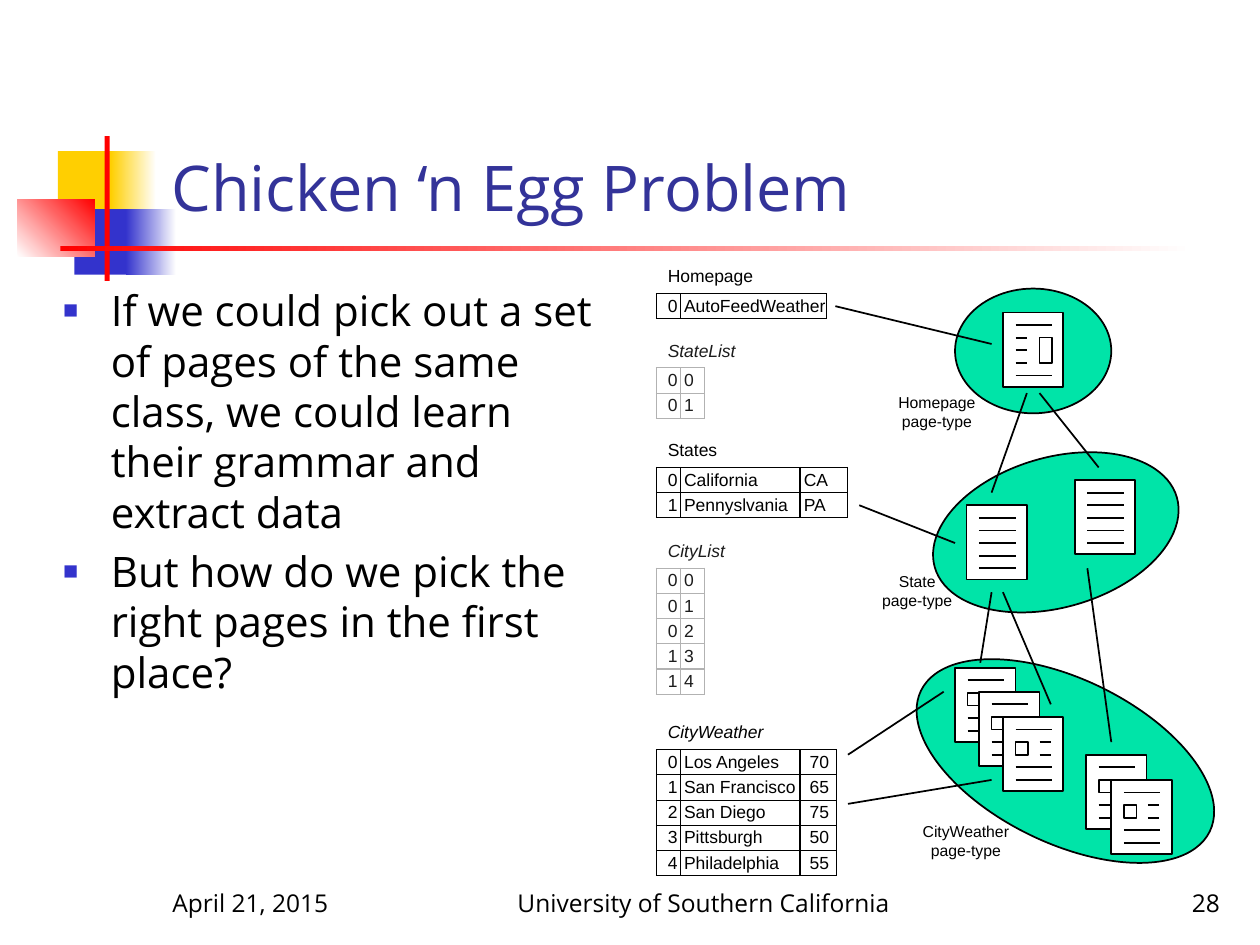
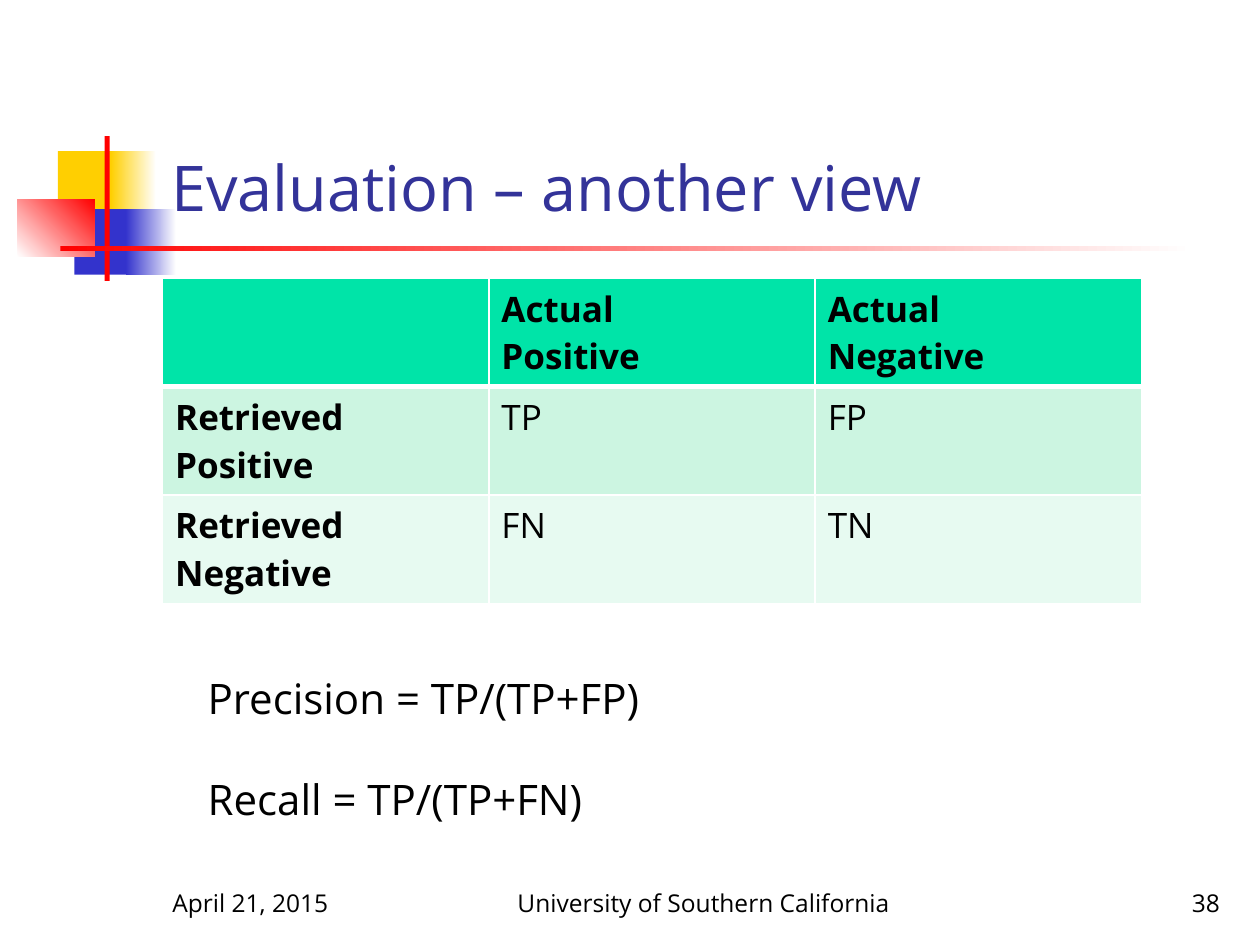
from dataclasses import dataclass

from lxml.etree import SubElement
from pptx import Presentation
from pptx.dml.color import RGBColor
from pptx.enum.shapes import MSO_CONNECTOR, MSO_SHAPE
from pptx.enum.text import MSO_ANCHOR, MSO_AUTO_SIZE, PP_ALIGN
from pptx.oxml.ns import qn
from pptx.util import Inches, Pt


@dataclass(frozen=True)
class Theme:
    """Colours, fonts and type sizes of the deck."""
    title: str = "333399"
    text: str = "000000"
    soft_text: str = "1C1C1C"
    white: str = "FFFFFF"
    yellow: str = "FFCF01"
    blue: str = "3333CC"
    red: str = "FF0000"
    green: str = "00E4A8"
    grey: str = "B2B2B2"
    row_tints: tuple = ("CCF5E1", "E7FAF1")
    font: str = "Open Sans"
    data_font: str = "Arial"
    title_size: float = 36
    body_size: float = 24
    table_size: float = 20
    footer_size: float = 14
    data_size: float = 10
    label_size: float = 9


T = Theme()


def rgb(color):
    """Turn a hex string into a colour."""
    return RGBColor.from_string(color)


def write(tf, text, size=T.body_size, font=T.font, color=T.text, bold=False,
          italic=False, align=PP_ALIGN.LEFT, before=0):
    """Fill a text frame, one paragraph a line; before is the gap between them."""
    for i, line in enumerate(text.split("\n")):
        p = tf.paragraphs[0] if i == 0 else tf.add_paragraph()
        p.alignment = align
        p.space_before = Pt(before if i else 0)
        r = p.add_run()
        r.text = line
        r.font.size, r.font.name = Pt(size), font
        r.font.bold, r.font.italic = bold, italic
        r.font.color.rgb = rgb(color)


def bullet(p, color, percent, indent):
    """Give a paragraph a square bullet with a hanging indent."""
    pPr = p._p.get_or_add_pPr()
    pPr.set("marL", str(Inches(indent)))
    pPr.set("indent", str(-Inches(indent)))
    SubElement(SubElement(pPr, qn("a:buClr")), qn("a:srgbClr"), val=color)
    SubElement(pPr, qn("a:buSzPct"), val=str(percent * 1000))
    SubElement(pPr, qn("a:buChar"), char="■")


def border(cell, color, width, bottom=None):
    """Draw the four borders of a cell; call before setting its fill."""
    tcPr = cell._tc.get_or_add_tcPr()
    for side in "LRTB":
        w = bottom if side == "B" and bottom else width
        ln = SubElement(tcPr, qn(f"a:ln{side}"), w=str(Pt(w)))
        SubElement(SubElement(ln, qn("a:solidFill")), qn("a:srgbClr"), val=color)


class Deck:
    """Holds the presentation and the slide being built."""

    def __init__(self):
        """Start an empty 10 by 7.5 inch deck."""
        self.prs = Presentation()
        self.prs.slide_width, self.prs.slide_height = Inches(10), Inches(7.5)
        self.s = None

    def slide(self, layout, title, number):
        """Add a slide with the shared decoration, title and footer."""
        self.s = self.prs.slides.add_slide(self.prs.slide_layouts[layout])
        self.decoration()
        sp = self.s.shapes.title
        self.place(sp, 1.26, 0.23, 8.52, 1.6, MSO_ANCHOR.BOTTOM)
        write(sp.text_frame, title, T.title_size, color=T.title)
        sp.element.getparent().append(sp.element)  # in front of the decoration
        for x, w, text, align in (
                (1.27, 2.08, "April 21, 2015", PP_ALIGN.LEFT),
                (4, 3.17, "University of Southern California", PP_ALIGN.CENTER),
                (7.7, 2.08, number, PP_ALIGN.RIGHT)):
            self.text(x, 6.83, w, 0.5, text, anchor=MSO_ANCHOR.BOTTOM,
                      size=T.footer_size, align=align)

    def decoration(self):
        """Draw the coloured squares and the red rules."""
        self.shape(0.46, 1.2, 0.48, 0.52, T.yellow)
        self.shape(0.88, 1.2, 0.36, 0.52, (T.yellow, T.white))
        self.shape(0.59, 1.66, 0.46, 0.52, T.blue)
        self.shape(1, 1.66, 0.4, 0.52, (T.blue, T.white))
        self.shape(0.14, 1.58, 0.61, 0.46, (T.white, T.red), angle=45)
        self.shape(0.83, 1.08, 0.04, 1.15, T.red)
        self.shape(0.48, 1.95, 9, 0.04, (T.red, T.white))

    def place(self, sp, x, y, w, h, anchor):
        """Move a placeholder and fix its anchor."""
        sp.left, sp.top, sp.width, sp.height = map(Inches, (x, y, w, h))
        tf = sp.text_frame
        tf.vertical_anchor, tf.auto_size = anchor, MSO_AUTO_SIZE.NONE

    def body(self, x, y, w, h, text):
        """Fill the body placeholder with a bulleted list."""
        sp = self.s.placeholders[1]
        self.place(sp, x, y, w, h, MSO_ANCHOR.TOP)
        write(sp.text_frame, text, before=5)
        for p in sp.text_frame.paragraphs:
            bullet(p, T.blue, 60, 0.38)

    def text(self, x, y, w, h, text, anchor=MSO_ANCHOR.TOP, wrap=True,
             inset=None, **style):
        """Add a text box; style goes to write()."""
        tf = self.s.shapes.add_textbox(*map(Inches, (x, y, w, h))).text_frame
        tf.word_wrap, tf.vertical_anchor = wrap, anchor
        if inset is not None:
            tf.margin_left = tf.margin_right = Inches(inset)
            tf.margin_top = tf.margin_bottom = Inches(inset)
        write(tf, text, **style)

    def shape(self, x, y, w, h, fill=None, line=None, kind=MSO_SHAPE.RECTANGLE,
              rotation=0, angle=0):
        """Add a preset shape; a pair of colours makes a gradient."""
        sp = self.s.shapes.add_shape(kind, *map(Inches, (x, y, w, h)))
        sp.shadow.inherit = False
        sp.rotation = rotation
        if fill is None:
            sp.fill.background()
        elif isinstance(fill, tuple):
            sp.fill.gradient()
            sp.fill.gradient_angle = angle
            for stop, color in zip(sp.fill.gradient_stops, fill):
                stop.color.rgb = rgb(color)
        else:
            sp.fill.solid()
            sp.fill.fore_color.rgb = rgb(fill)
        if line:
            sp.line.color.rgb, sp.line.width = rgb(line), Pt(1)
        else:
            sp.line.fill.background()

    def line(self, x1, y1, x2, y2):
        """Add a thin black line."""
        c = self.s.shapes.add_connector(
            MSO_CONNECTOR.STRAIGHT, *map(Inches, (x1, y1, x2, y2)))
        c.line.color.rgb, c.line.width = rgb(T.text), Pt(1)
        SubElement(c.element.spPr, qn("a:effectLst"))

    def page(self, x, y, box, rows):
        """Draw a small page: rows are the (start, end) of its text lines."""
        self.shape(x, y, 0.48, 0.59, T.white, T.text)
        if box:
            bx, by, bw, bh = box
            self.shape(x + bx, y + by, bw, bh, line=T.text)
        for i, row in enumerate(rows, 1):
            if row:
                self.line(x + row[0], y + i / 10, x + row[1], y + i / 10)

    def page_type(self, name, label, ellipse, rotation, pages):
        """Draw an ellipse holding pages, with the label of their type."""
        self.shape(*ellipse, T.green, T.text, MSO_SHAPE.OVAL, rotation)
        for page in pages:
            self.page(*page)
        self.text(*label, 0.4, name + "\npage-type", wrap=False,
                  size=T.label_size, font=T.data_font, align=PP_ALIGN.CENTER)

    def table(self, x, y, widths, row_height, n_rows):
        """Add a plain table without banding and return it."""
        tbl = self.s.shapes.add_table(
            n_rows, len(widths), Inches(x), Inches(y), Inches(sum(widths)),
            Inches(row_height * n_rows)).table
        tbl.first_row = tbl.horz_banding = False
        for col, w in zip(tbl.columns, widths):
            col.width = Inches(w)
        for row in tbl.rows:
            row.height = Inches(row_height)
        return tbl

    def relation(self, y, name, widths, rows, color=T.text, edge=T.text,
                 italic=False):
        """Add a small data table under its name."""
        style = dict(size=T.data_size, font=T.data_font, color=color)
        self.text(5.3, y - 0.24, 1.3, 0.2, name, MSO_ANCHOR.MIDDLE, inset=0,
                  italic=italic, **style)
        tbl = self.table(5.21, y, widths, 0.2, len(rows))
        for i, row in enumerate(rows):
            for j, value in enumerate(row):
                cell = tbl.cell(i, j)
                cell.margin_left = Inches((0.09, 0.03, 0.03)[j])
                cell.margin_right = cell.margin_top = cell.margin_bottom = 0
                cell.vertical_anchor = MSO_ANCHOR.MIDDLE
                number = j == 2 and value.isdigit()
                if number:
                    cell.margin_right = Inches(0.06)
                write(cell.text_frame, value, **style,
                      align=PP_ALIGN.RIGHT if number else PP_ALIGN.LEFT)
                border(cell, edge, 0.75)
                cell.fill.background()

    def matrix(self, x, y, rows):
        """Add the table with a green header row and bold row names."""
        tbl = self.table(x, y, [2.59] * len(rows[0]), 0.86, len(rows))
        fills = (T.green, *T.row_tints)
        for i, row in enumerate(rows):
            for j, value in enumerate(row):
                cell = tbl.cell(i, j)
                write(cell.text_frame, value, T.table_size,
                      bold=i == 0 or j == 0)
                border(cell, T.white, 1, bottom=3 if i == 0 else None)
                cell.fill.solid()
                cell.fill.fore_color.rgb = rgb(fills[i])


def chicken_and_egg(deck):
    """Build the slide that links data tables to page types."""
    deck.slide(1, "Chicken ‘n Egg Problem", "28")
    index, pair = 0.19, [0.19, 0.19]
    soft = dict(color=T.soft_text, edge=T.grey, italic=True)
    deck.relation(2.33, "Homepage", [index, 1.16], [("0", "AutoFeedWeather")])
    deck.relation(2.92, "StateList", pair, ["00", "01"], **soft)
    deck.relation(3.71, "States", [index, 0.95, 0.38],
                  [("0", "California", "CA"), ("1", "Pennyslvania", "PA")])
    deck.relation(4.51, "CityList", pair, ["00", "01", "02", "13", "14"], **soft)
    cities = (("Los Angeles", "70"), ("San Francisco", "65"),
              ("San Diego", "75"), ("Pittsburgh", "50"), ("Philadelphia", "55"))
    deck.relation(5.95, "CityWeather", [index, 0.95, 0.29],
                  [(str(i), *city) for i, city in enumerate(cities)], italic=True)

    full, left, right = (0.1, 0.39), (0.1, 0.19), (0.29, 0.38)
    home = ((0.29, 0.2, 0.1, 0.2), (full, left, left, left, full))
    state = (None, (full,) * 5)
    small_box = (0.1, 0.2, 0.1, 0.1)
    city = (small_box, (full, right, right, full, full))
    city_behind = (small_box, (full, right, None, full, full))

    deck.page_type("CityWeather", (7.22, 6.47, 0.89), (7.18, 5.39, 2.55, 1.3), 26,
                   [(7.58, 5.3, *city_behind), (7.77, 5.49, *city_behind),
                    (7.96, 5.69, *city),
                    (8.62, 5.99, *city_behind), (8.82, 6.19, *city)])
    deck.page_type("State", (6.9, 4.49, 0.76), (7.38, 3.63, 2, 1.19), 343.8,
                   [(7.67, 4.01, *state), (8.53, 3.81, *state)])
    deck.page_type("Homepage", (7.03, 3.07, 0.81), (7.58, 2.29, 1.24, 0.99), 0,
                   [(7.96, 2.48, *home)])
    for ends in ((6.63, 2.43, 7.87, 2.73), (6.82, 4.01, 7.58, 4.31),
                 (8.15, 3.12, 7.87, 3.91), (8.25, 3.12, 8.72, 3.71),
                 (7.87, 4.7, 7.78, 5.26), (7.96, 4.7, 8.34, 5.59),
                 (8.63, 4.51, 8.82, 5.89), (6.73, 5.99, 7.49, 5.49),
                 (6.73, 6.38, 7.87, 6.19)):
        deck.line(*ends)
    deck.body(0.4, 2.21, 4.42, 4.5,
              "If we could pick out a set of pages of the same class, "
              "we could learn their grammar and extract data\n"
              "But how do we pick the right pages in the first place?")


def evaluation(deck):
    """Build the slide with the confusion matrix and its two measures."""
    deck.slide(5, "Evaluation – another view", "38")
    deck.matrix(1.29, 2.21, [("", "Actual\nPositive", "Actual\nNegative"),
                             ("Retrieved Positive", "TP", "FP"),
                             ("Retrieved Negative", "FN", "TN")])
    deck.text(1.55, 5.29, 3.73, 1.31,
              "Precision = TP/(TP+FP)\nRecall = TP/(TP+FN)", wrap=False, before=29)


deck = Deck()
chicken_and_egg(deck)
evaluation(deck)
deck.prs.save("out.pptx")
